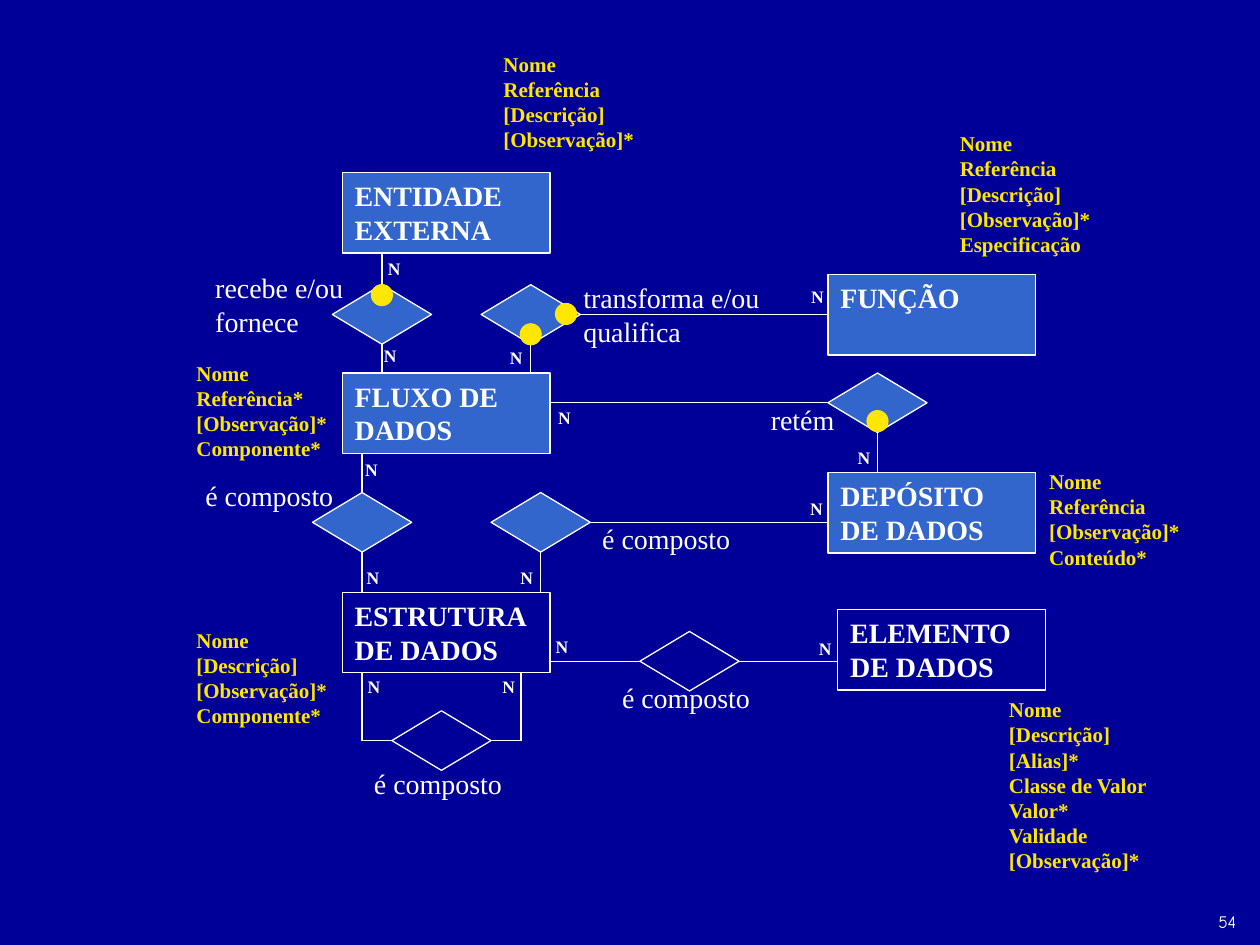
"""Build the entity-relationship slide of a data-flow dictionary."""
from lxml import etree
from pptx import Presentation
from pptx import util as u
from pptx.dml.color import RGBColor
from pptx.enum import shapes, text
from pptx.oxml.ns import qn

COLORS = {"background": "000099", "fill": "3366CC", "line": "FFFFFF", "note": "FFE701"}
BOX_WIDTH, BOX_HEIGHT = 4.19, 1.62
DIAMOND_WIDTH, DIAMOND_HEIGHT = 2, 1.2
DOT_SIZE = 0.42


def write(shape, content, size=16, bold=False, color="line", font="Times New Roman"):
    frame = shape.text_frame
    frame.word_wrap = True
    frame.vertical_anchor = text.MSO_ANCHOR.TOP
    frame.text = content
    for paragraph in frame.paragraphs:
        paragraph.alignment = text.PP_ALIGN.LEFT
        paragraph.font.size = u.Pt(size)
        paragraph.font.bold = bold
        paragraph.font.name = font
        paragraph.font.color.rgb = RGBColor.from_string(COLORS[color])


def draw(slide, kind, left, top, width, height, fill=None, line="line"):
    shape = slide.shapes.add_shape(kind, u.Cm(left), u.Cm(top), u.Cm(width), u.Cm(height))
    shape.shadow.inherit = False
    if fill:
        shape.fill.solid()
        shape.fill.fore_color.rgb = RGBColor.from_string(COLORS[fill])
    else:
        shape.fill.background()
    shape.line.color.rgb = RGBColor.from_string(COLORS[line])
    shape.line.width = u.Pt(0.75)
    return shape


presentation = Presentation()
presentation.slide_width, presentation.slide_height = u.Cm(25.4), u.Cm(19.05)
slide = presentation.slides.add_slide(presentation.slide_layouts[6])
slide.background.fill.solid()
slide.background.fill.fore_color.rgb = RGBColor.from_string(COLORS["background"])

entities = [
    ("ENTIDADE EXTERNA", 6.9, 3.48, "fill"),
    ("ESTRUTURA DE DADOS", 6.9, 11.94, None),
    ("ELEMENTO DE DADOS", 16.89, 12.29, None),
    ("FLUXO DE DADOS", 6.9, 7.52, "fill"),
    ("FUNÇÃO", 16.69, 5.54, "fill"),
    ("DEPÓSITO DE DADOS", 16.69, 9.53, "fill"),
]
for name, left, top, fill in entities:
    box = draw(slide, shapes.MSO_SHAPE.RECTANGLE, left, top, BOX_WIDTH, BOX_HEIGHT, fill)
    write(box, name, bold=True)

diamonds = [
    (8.9, 14.93, None),
    (13.9, 13.33, None),
    (7.3, 10.53, "fill"),
    (10.9, 10.53, "fill"),
    (17.69, 8.12, "fill"),
    (7.7, 6.34, "fill"),
    (10.7, 6.34, "fill"),
]
for center_x, center_y, fill in diamonds:
    draw(slide, shapes.MSO_SHAPE.FLOWCHART_DECISION, center_x - DIAMOND_WIDTH / 2,
         center_y - DIAMOND_HEIGHT / 2, DIAMOND_WIDTH, DIAMOND_HEIGHT, fill)

routes = [
    [(7.9, 14.93), (7.3, 14.93), (7.3, 13.56)],
    [(9.9, 14.93), (10.5, 14.93), (10.5, 13.56)],
    [(11.09, 13.33), (12.9, 13.33)],
    [(14.9, 13.33), (16.89, 13.33)],
    [(7.3, 9.14), (7.3, 9.93)],
    [(7.3, 11.13), (7.3, 11.94)],
    [(10.9, 11.94), (10.9, 11.13)],
    [(11.9, 10.53), (16.69, 10.53)],
    [(11.09, 8.12), (16.69, 8.12)],
    [(17.69, 8.72), (17.69, 9.53)],
    [(7.7, 5.1), (7.7, 5.74)],
    [(7.7, 6.94), (7.7, 7.52)],
    [(10.7, 7.52), (10.7, 6.94)],
    [(11.7, 6.34), (16.69, 6.34)],
]
for route in routes:
    for start, end in zip(route, route[1:]):
        connector = slide.shapes.add_connector(
            shapes.MSO_CONNECTOR.STRAIGHT, *(u.Cm(value) for value in start + end))
        connector.line.color.rgb = RGBColor.from_string(COLORS["line"])
        connector.line.width = u.Pt(0.75)
        etree.SubElement(connector._element.spPr, qn("a:effectLst"))

relationship_labels = [
    ("é composto", 7.29, 15.32, 3.4, 0.94),
    ("é composto", 12.29, 13.59, 3.4, 0.94),
    ("é composto", 3.89, 9.53, 3.4, 0.94),
    ("é composto", 11.89, 10.39, 3.4, 0.94),
    ("retém", 15.29, 8, 2.01, 0.94),
    ("recebe e/ou fornece", 4.09, 5.33, 4.39, 1.62),
    ("transforma e/ou qualifica", 11.51, 5.54, 4.39, 1.62),
]
for label, *place in relationship_labels:
    write(slide.shapes.add_textbox(*map(u.Cm, place)), label)

cardinalities = [
    (7.49, 6.83), (10.03, 6.88), (7.16, 13.51), (9.88, 13.51), (7.57, 5.08),
    (7.14, 11.3), (16.1, 5.64), (11, 8.08), (17.04, 8.89), (10.95, 12.7),
    (7.11, 9.12), (10.24, 11.3), (16.08, 9.91), (16.26, 12.73),
]
for left, top in cardinalities:
    cardinality = slide.shapes.add_textbox(u.Cm(left), u.Cm(top), u.Cm(1), u.Cm(0.69))
    write(cardinality, "N", size=10, bold=True)

for left, top in [(11.2, 6.12), (10.49, 6.53), (7.49, 5.74), (17.48, 8.28)]:
    draw(slide, shapes.MSO_SHAPE.OVAL, left, top, DOT_SIZE, DOT_SIZE, "note", "note")

attribute_notes = [
    (20.09, 13.92, 3.99, ["Nome", "[Descrição]", "[Alias]*", "Classe de Valor", "Valor*",
                          "Validade", "[Observação]*"]),
    (3.71, 12.52, 3.4, ["Nome", "[Descrição]", "[Observação]*", "Componente*"]),
    (20.9, 9.32, 3.4, ["Nome", "Referência", "[Observação]*", "Conteúdo*"]),
    (3.71, 7.14, 3.4, ["Nome", "Referência*", "[Observação]*", "Componente*"]),
    (9.9, 0.91, 3.2, ["Nome", "Referência", "[Descrição]", "[Observação]*"]),
    (19.1, 2.51, 4.39, ["Nome", "Referência", "[Descrição]", "[Observação]*",
                        "Especificação"]),
]
for left, top, width, attributes in attribute_notes:
    height = 0.25 + 0.51 * len(attributes)
    note = slide.shapes.add_textbox(u.Cm(left), u.Cm(top), u.Cm(width), u.Cm(height))
    write(note, "\n".join(attributes), size=12, bold=True, color="note")

page_number = slide.shapes.add_textbox(u.Cm(24.31), u.Cm(18.24), u.Cm(1), u.Cm(0.69))
write(page_number, "54", size=10, font="Comic Neue")

presentation.save("out.pptx")
